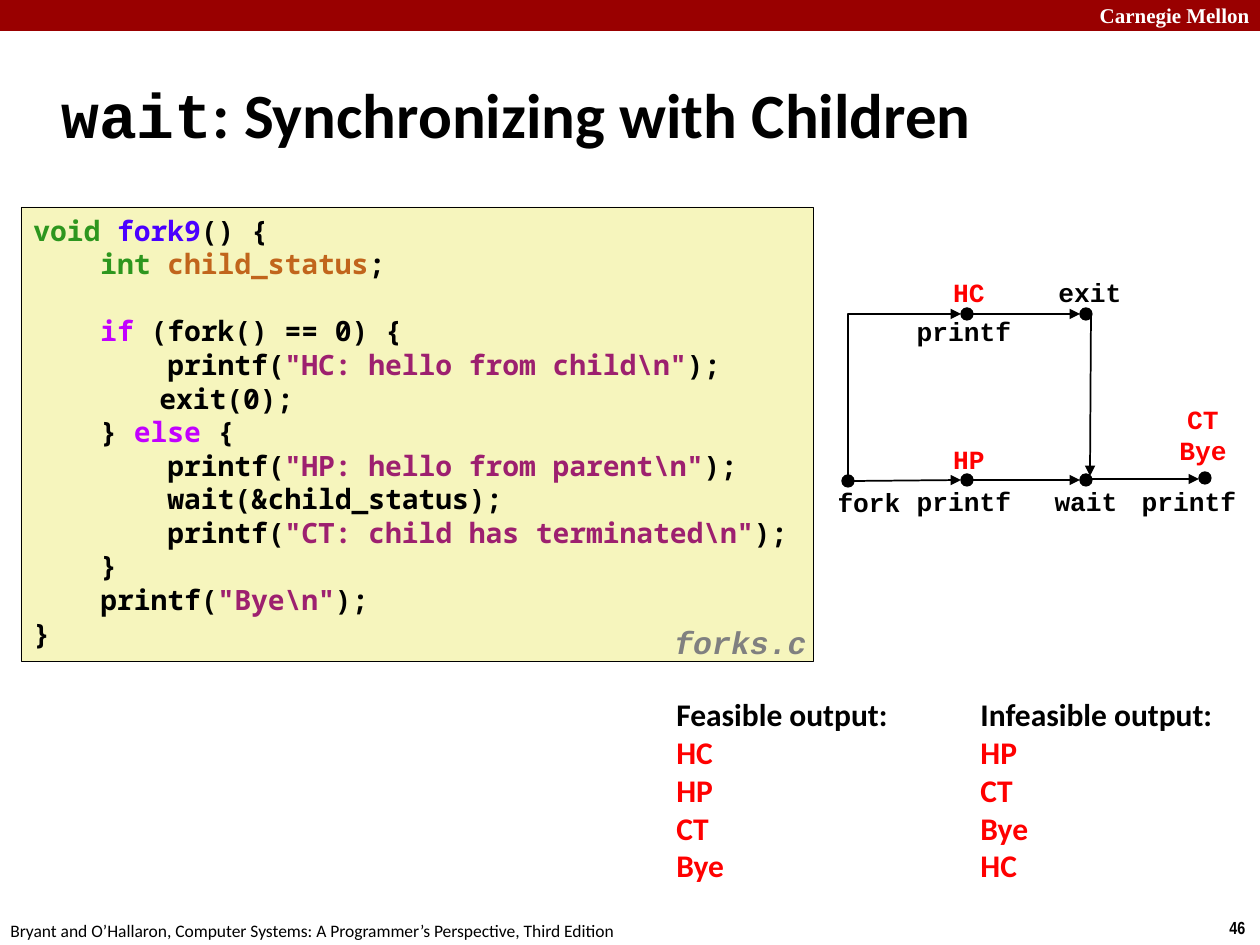
from lxml.etree import SubElement
from pptx import Presentation
from pptx.dml.color import RGBColor
from pptx.enum.shapes import MSO_CONNECTOR, MSO_SHAPE
from pptx.enum.text import MSO_ANCHOR, PP_ALIGN
from pptx.oxml.ns import qn
from pptx.util import Pt

PX = 914400 / 126

BLACK = RGBColor(0x00, 0x00, 0x00)
WHITE = RGBColor(0xFF, 0xFF, 0xFF)
RED = RGBColor(0xFF, 0x00, 0x00)
GRAY = RGBColor(0x80, 0x80, 0x80)
BAND = RGBColor(0x99, 0x00, 0x00)
PAPER = RGBColor(0xF6, 0xF5, 0xBD)
TYPE = RGBColor(0x2D, 0x96, 0x1E)
FUNCTION = RGBColor(0x4A, 0x00, 0xFF)
VARIABLE = RGBColor(0xC1, 0x65, 0x1C)
KEYWORD = RGBColor(0xC2, 0x00, 0xFF)
STRING = RGBColor(0x9D, 0x20, 0x6F)

MONO = "Courier New"
SANS = "Calibri"

# Each line is a list of spans: plain text, or (text, color)
CODE = [
    [("void ", TYPE), ("fork9", FUNCTION), "() {"],
    ["    ", ("int ", TYPE), ("child_status", VARIABLE), ";"],
    [],
    ["    ", ("if", KEYWORD), " (fork() == 0) {"],
    ["        printf(", ('"HC: hello from child\\n"', STRING), ");"],
    ["\texit(0);"],
    ["    } ", ("else", KEYWORD), " {"],
    ["        printf(", ('"HP: hello from parent\\n"', STRING), ");"],
    ["        wait(&child_status);"],
    ["        printf(", ('"CT: child has terminated\\n"', STRING), ");"],
    ["    }"],
    ["    printf(", ('"Bye\\n"', STRING), ");"],
    ["}"],
]


def emu(*lengths):
    return [round(length * PX) for length in lengths]


def write(frame, lines, font=SANS, size=18, color=BLACK, bold=True, italic=False,
          align=PP_ALIGN.LEFT, anchor=MSO_ANCHOR.TOP, wrap=False, spacing=None, tab=None):
    """Fill a text frame; a span is text or (text, color[, font])."""
    frame.word_wrap = wrap
    frame.vertical_anchor = anchor
    for index, line in enumerate(lines):
        para = frame.paragraphs[0] if index == 0 else frame.add_paragraph()
        para.alignment = align
        if tab:
            stops = SubElement(para._p.get_or_add_pPr(), qn("a:tabLst"))
            SubElement(stops, qn("a:tab"), pos=str(emu(tab)[0]), algn="l")
        para.font.size = Pt(size)
        para.font.name = font
        if spacing:
            para.line_spacing = spacing
        for part in [line] if isinstance(line, str) else line:
            text, *look = (part,) if isinstance(part, str) else part
            span = para.add_run()
            span.text = text
            span.font.size = Pt(size)
            span.font.bold = bold
            span.font.italic = italic
            span.font.color.rgb = look[0] if look else color
            span.font.name = look[1] if len(look) > 1 else font


def add_text(shapes, box, lines, **style):
    write(shapes.add_textbox(*emu(*box)).text_frame, lines, **style)


def add_block(shapes, kind, box, fill, outline=None):
    block = shapes.add_shape(kind, *emu(*box))
    block.shadow.inherit = False
    block.fill.solid()
    block.fill.fore_color.rgb = fill
    if outline:
        block.line.color.rgb = BLACK
        block.line.width = Pt(outline)
    else:
        block.line.fill.background()
    return block


def add_arrow(shapes, start, end, kind=MSO_CONNECTOR.STRAIGHT):
    arrow = shapes.add_connector(kind, *emu(*start, *end))
    arrow.line.color.rgb = BLACK
    arrow.line.width = Pt(1)
    SubElement(arrow.line._get_or_add_ln(), qn("a:tailEnd"), type="triangle")
    SubElement(arrow._element.spPr, qn("a:effectLst"))
    return arrow


def add_corner_arrow(shapes, start, end):
    """Arrow that goes up from start, then right to end."""
    middle_x, middle_y = (start[0] + end[0]) / 2, (start[1] + end[1]) / 2
    half_x, half_y = (end[0] - start[0]) / 2, (start[1] - end[1]) / 2
    # A quarter turn swaps the half width and the half height
    arrow = add_arrow(shapes, (middle_x + half_y, middle_y + half_x),
                      (middle_x - half_y, middle_y - half_x), MSO_CONNECTOR.ELBOW)
    properties = arrow._element.spPr
    properties.find(qn("a:xfrm")).set("rot", "5400000")
    properties.find(qn("a:prstGeom")).set("prst", "bentConnector2")


def build_header(page, box):
    left, top, width, height = box
    add_block(page.shapes, MSO_SHAPE.RECTANGLE, box, BAND)
    add_text(page.shapes, (left + width - 220, top, 222, height), ["Carnegie Mellon"],
             font="Times New Roman", size=12, color=WHITE, align=PP_ALIGN.RIGHT,
             anchor=MSO_ANCHOR.MIDDLE)


def build_title(page, box):
    add_text(page.shapes, box, [[("wait", BLACK, MONO), ": Synchronizing with Children"]],
             size=36, anchor=MSO_ANCHOR.MIDDLE, wrap=True)


def build_code(page, box):
    left, top, width, height = box
    panel = add_block(page.shapes, MSO_SHAPE.RECTANGLE, box, PAPER, outline=0.25)
    write(panel.text_frame, CODE, font="Noto Sans Mono", size=16, tab=126)
    add_text(page.shapes, (left + width - 151, top + height - 41, 166, 49), ["forks.c"],
             font=MONO, color=GRAY, italic=True, spacing=0.94)


def build_process_graph(page, box):
    left, top = box[:2]
    shapes = page.shapes.add_group_shape().shapes
    radius = 6

    def place(x, y):
        return left + x, top + y

    fork, parent, wait, last = [place(6 + 119 * step, y)
                                for step, y in enumerate((211, 210, 210, 208))]
    child, leave = place(125, 44), place(244, 44)

    # Events
    for x, y in (fork, parent, wait, last, child, leave):
        add_block(shapes, MSO_SHAPE.OVAL,
                  (x - radius, y - radius, 2 * radius, 2 * radius), BLACK, outline=0.75)

    # Order of events
    for start, end in ((fork, parent), (parent, wait), (child, leave)):
        add_arrow(shapes, (start[0] + radius, start[1]), (end[0] - radius, end[1]))
    add_arrow(shapes, (wait[0] + radius, last[1] + 1), (last[0] - radius, last[1] + 1))
    add_corner_arrow(shapes, (fork[0], fork[1] - radius), (child[0] - radius, child[1]))
    add_arrow(shapes, (leave[0] + 5, leave[1] - 1), (wait[0] + 4, wait[1] - 4))

    # Labels: center, top, color and lines
    for center, label_top, color, lines in (
        (27, 210, BLACK, ["fork"]),
        (122, 209, BLACK, ["printf"]),
        (244, 209, BLACK, ["wait"]),
        (347, 209, BLACK, ["printf"]),
        (122, 39, BLACK, ["printf"]),
        (248, 0, BLACK, ["exit"]),
        (127, 167, RED, ["HP"]),
        (127, 0, RED, ["HC"]),
        (361, 127, RED, ["CT", "Bye"]),
    ):
        x, y = place(center - 60, label_top)
        add_text(shapes, (x, y, 120, 11 + 33 * len(lines)), lines, font=MONO, size=15,
                 color=color, align=PP_ALIGN.CENTER)


def build_output(page, box, heading, words):
    add_text(page.shapes, box, [heading] + [[(word, RED)] for word in words])


def build_footer(page, box):
    left, top, width, height = box
    add_text(page.shapes, (left - 2, top + 3, 640, height),
             ["Bryant and O’Hallaron, Computer Systems: A Programmer’s Perspective, "
              "Third Edition"], size=10, bold=False)
    add_text(page.shapes, (left + width - 43, top, 43, height), ["46"],
             font="Arial Narrow", size=10)


def main():
    deck = Presentation()
    deck.slide_width, deck.slide_height = emu(1260, 945)
    page = deck.slides.add_slide(deck.slide_layouts[6])
    build_header(page, (0, 0, 1260, 31))
    build_footer(page, (0, 911, 1260, 34))
    build_title(page, (49, 61, 1046, 105))
    build_code(page, (21, 207, 792, 454))
    build_process_graph(page, (842, 270, 407, 254))
    build_output(page, (664, 689, 239, 204), "Feasible output:", ["HC", "HP", "CT", "Bye"])
    build_output(page, (968, 689, 261, 204), "Infeasible output:", ["HP", "CT", "Bye", "HC"])
    deck.save("out.pptx")


if __name__ == "__main__":
    main()
